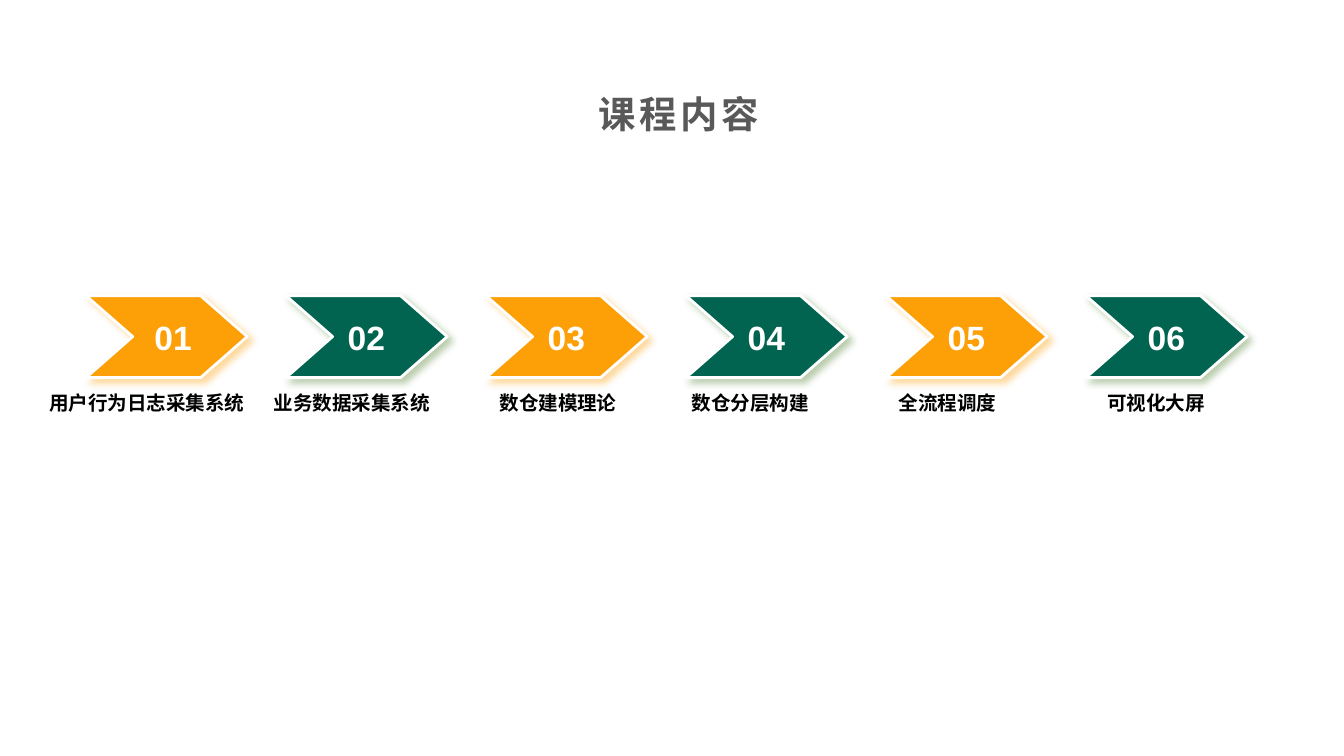
from dataclasses import dataclass

from lxml.etree import SubElement
from pptx import Presentation
from pptx.dml.color import RGBColor
from pptx.enum.shapes import MSO_SHAPE as Preset
from pptx.enum.text import MSO_ANCHOR, MSO_AUTO_SIZE, PP_ALIGN
from pptx.oxml.ns import qn
from pptx.shapes.autoshape import Shape
from pptx.slide import Slide
from pptx.util import Inches, Pt

ORANGE = RGBColor(0xFD, 0xA0, 0x07)
GREEN = RGBColor(0x00, 0x64, 0x50)
GREEN_SHADOW = RGBColor(0x54, 0x82, 0x35)
WHITE = RGBColor(0xFF, 0xFF, 0xFF)
BLACK = RGBColor(0x00, 0x00, 0x00)
GRAY = RGBColor(0x59, 0x59, 0x59)

SLIDE_WIDTH = 10
SLIDE_HEIGHT = SLIDE_WIDTH * 9 / 16
FIRST_LEFT = 0.64
LAST_LEFT = 8.08
TOPIC_SIZE = 10.5
THEMES = [(ORANGE, ORANGE), (GREEN, GREEN_SHADOW)]


@dataclass
class Stage:
    topic: str
    topic_left: float
    number_offset: float = 0.36


STAGES = [
    Stage("用户行为日志采集系统", 0.27, 0.41),
    Stage("业务数据采集系统", 1.94),
    Stage("数仓建模理论", 3.62),
    Stage("数仓分层构建", 5.05),
    Stage("全流程调度", 6.59),
    Stage("可视化大屏", 8.14),
]
STEP = (LAST_LEFT - FIRST_LEFT) / (len(STAGES) - 1)


def place(shape: Shape, left: float, top: float, width: float, height: float) -> None:
    shape.left, shape.top = Inches(left), Inches(top)
    shape.width, shape.height = Inches(width), Inches(height)


def write(shape: Shape, text: str, size: float, color: RGBColor) -> None:
    frame = shape.text_frame
    frame.text = text
    frame.word_wrap = False
    frame.auto_size = MSO_AUTO_SIZE.SHAPE_TO_FIT_TEXT
    frame.vertical_anchor = MSO_ANCHOR.TOP
    font = frame.paragraphs[0].runs[0].font
    font.name = "Arial"
    font.size = Pt(size)
    font.bold = True
    font.color.rgb = color


def add_label(slide: Slide, text: str, left: float, top: float,
              width: float, height: float, size: float, color: RGBColor) -> None:
    label = slide.shapes.add_textbox(0, 0, 0, 0)
    write(label, text, size, color)
    place(label, left, top, width, height)


def cast_shadow(shape: Shape, color: RGBColor) -> None:
    shape.shadow.inherit = False
    effects = shape._element.spPr.find(qn("a:effectLst"))
    shadow = SubElement(effects, qn("a:outerShdw"), blurRad=str(Pt(4)),
                        dist=str(Pt(3)), dir=str(45 * 60000),
                        algn="tl", rotWithShape="0")
    tint = SubElement(shadow, qn("a:srgbClr"), val=str(color))
    SubElement(tint, qn("a:alpha"), val="40000")


def add_chevron(slide: Slide, left: float, fill: RGBColor, shadow: RGBColor) -> None:
    chevron = slide.shapes.add_shape(Preset.CHEVRON, Inches(left), Inches(2.2),
                                     Inches(1.2), Inches(0.61))
    chevron.adjustments[0] = 0.57
    chevron.fill.solid()
    chevron.fill.fore_color.rgb = fill
    chevron.line.color.rgb = WHITE
    chevron.line.width = Pt(1.5)
    cast_shadow(chevron, shadow)


def add_title(slide: Slide, text: str) -> None:
    title = slide.shapes.title
    write(title, text, 20, GRAY)
    place(title, 4.35, 0.63, 1.44, 0.44)
    paragraph = title.text_frame.paragraphs[0]
    paragraph.alignment = PP_ALIGN.JUSTIFY
    paragraph.runs[0].font._element.set("spc", "200")


def main() -> None:
    deck = Presentation()
    deck.slide_width = Inches(SLIDE_WIDTH)
    deck.slide_height = Inches(SLIDE_HEIGHT)
    slide = deck.slides.add_slide(deck.slide_layouts[5])
    add_title(slide, "课程内容")

    for index, stage in enumerate(STAGES):
        left = FIRST_LEFT + index * STEP
        add_chevron(slide, left, *THEMES[index % 2])
        add_label(slide, f"{index + 1:02}", left + stage.number_offset, 2.31,
                  0.48, 0.4, 18, WHITE)
        topic_width = 0.21 + len(stage.topic) * TOPIC_SIZE / 72
        add_label(slide, stage.topic, stage.topic_left, 2.86,
                  topic_width, 0.28, TOPIC_SIZE, BLACK)

    deck.save("out.pptx")


if __name__ == "__main__":
    main()
